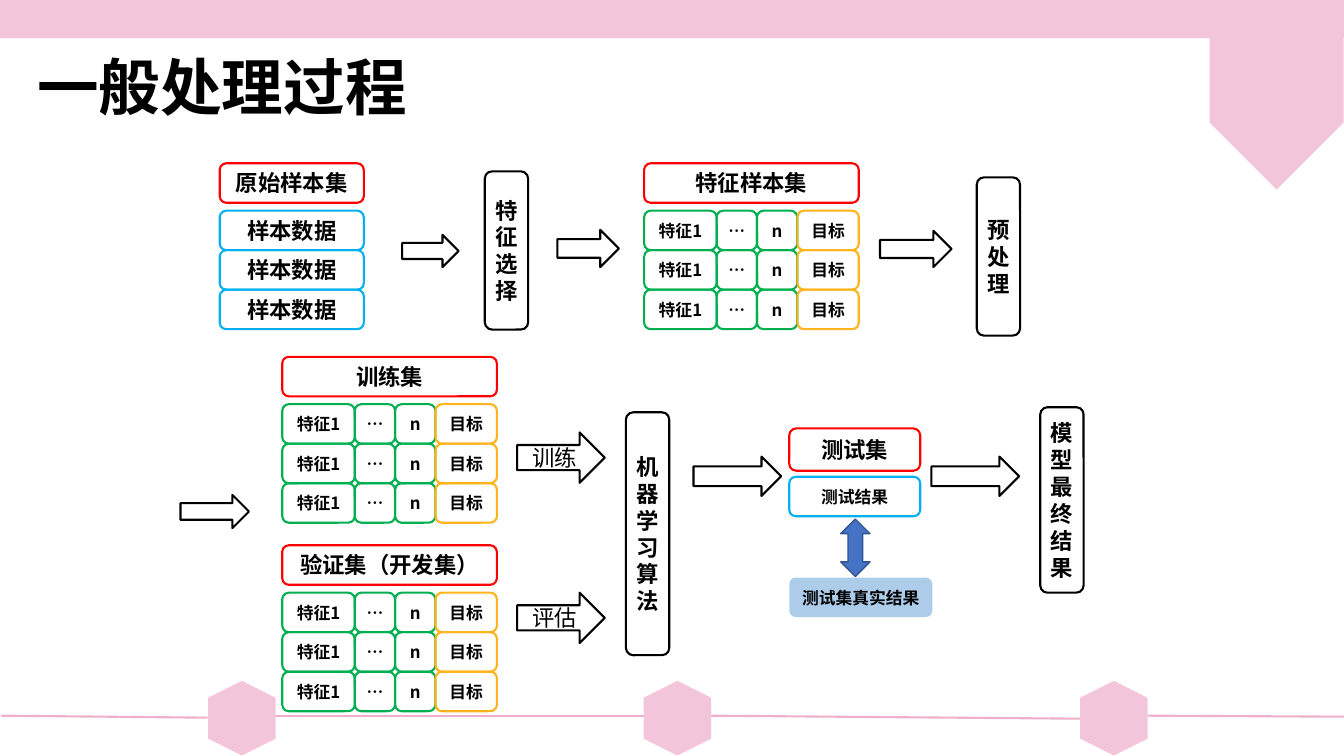
"""Draw the general machine learning workflow on one slide."""
from typing import NamedTuple, Optional

from lxml import etree
from pptx import Presentation
from pptx import util as u
from pptx.dml.color import RGBColor
from pptx.enum import shapes, text
from pptx.oxml.ns import qn

CELL = 0.1
COLS, ROWS = 133.33, 75
ROW = 3.92

BLACK = RGBColor(0x00, 0x00, 0x00)
RED = RGBColor(0xFF, 0x00, 0x00)
SKY = RGBColor(0x00, 0xB0, 0xF0)
GREEN = RGBColor(0x00, 0xB0, 0x50)
GOLD = RGBColor(0xFF, 0xB4, 0x1D)
PINK = RGBColor(0xF3, 0xC5, 0xDA)
ROSE = RGBColor(0xEF, 0xAF, 0xCC)
PALE = RGBColor(0x5B, 0x9B, 0xD5)
BLUE = RGBColor(0x44, 0x72, 0xC4)
NAVY = RGBColor(0x32, 0x54, 0x91)

SANS, PLAIN = "Noto Sans CJK SC", "Arial"
KIND = shapes.MSO_SHAPE
BOX, ARROW = KIND.ROUNDED_RECTANGLE, KIND.RIGHT_ARROW


class Part(NamedTuple):
    """One shape, measured in grid columns and rows."""
    kind: KIND
    x: float
    y: float
    w: float
    h: float
    line: Optional[RGBColor] = None
    fill: Optional[RGBColor] = None
    label: str = ""
    size: float = 16
    font: str = SANS
    turn: float = 0
    weight: float = 1.5


class Rule(NamedTuple):
    """One straight line, measured in grid columns and rows."""
    x: float
    y: float
    x2: float
    y2: float


class Field(NamedTuple):
    """One column of a sample table."""
    label: str
    w: float
    line: RGBColor


FIELDS = [Field("特征1", 7.2, GREEN), Field("…", 4, GREEN),
          Field("n", 4, GREEN), Field("目标", 6.1, GOLD)]

RULES = [Rule(27.3, 71, 63.9, 71), Rule(70.5, 71, 107.2, 71.3),
         Rule(0.1, 71, 20.6, 71.2), Rule(113.9, 71, COLS, 71.1)]

DECOR = [Part(KIND.HEXAGON, x, 67.9, 7.4, 6.7, fill=PINK, turn=270)
         for x in (20.3, 63.5, 106.8)] + [
    Part(KIND.RECTANGLE, 0, -0.2, COLS, 4, fill=PINK),
    Part(KIND.PENTAGON, 117.5, 3, 18.3, 13.3, fill=PINK, turn=90)]

STEPS = [
    Part(ARROW, 39.9, 23.3, 5.6, 3.2, BLACK),
    Part(BOX, 48.1, 17, 4.3, 15.7, BLACK, label="特征选择"),
    Part(ARROW, 55.3, 22.8, 6.1, 3.7, BLACK),
    Part(ARROW, 87.3, 22.9, 7.1, 3.6, BLACK),
    Part(BOX, 96.9, 17.6, 4.3, 15.7, BLACK, label="预处理"),
    Part(ARROW, 17.9, 49.1, 6.8, 3.3, BLACK),
    Part(ARROW, 51.3, 42.9, 8.7, 5, BLACK, label="训练", font=PLAIN),
    Part(ARROW, 51.3, 58.8, 8.7, 5, BLACK, label="评估", font=PLAIN),
    Part(BOX, 62.1, 40.9, 4.3, 24.1, BLACK, label="机器学习算法"),
    Part(ARROW, 68.8, 45.3, 8.7, 3.9, BLACK),
    Part(BOX, 78.3, 42.5, 13, 4.2, RED, label="测试集"),
    Part(BOX, 78.3, 47.3, 13, ROW, SKY, label="测试结果", size=12),
    Part(BOX, 78.3, 57.3, 14.2, ROW, fill=PALE, label="测试集真实结果", size=12),
    Part(KIND.UP_DOWN_ARROW, 83.4, 51.5, 2.9, 5.7, NAVY, BLUE, weight=1),
    Part(ARROW, 92.4, 45.3, 8.7, 3.9, BLACK),
    Part(BOX, 103.2, 40.4, 4.3, 18.4, BLACK, label="模型最终结果"),
]


def grid(*spans: float) -> list[int]:
    """Turn grid spans into slide lengths."""
    return [u.Inches(CELL * span) for span in spans]


def style(run, size: float, font: str) -> None:
    """Set a run's size and its Latin and East Asian fonts."""
    run.font.size = u.Pt(size)
    run.font.name = font
    run.font.bold = font == SANS
    run.font.color.rgb = BLACK
    east = etree.SubElement(run.font._element, qn("a:ea"))
    east.set("typeface", font)


def draw(slide, part: Part) -> None:
    """Draw one shape with its label."""
    shape = slide.shapes.add_shape(part.kind, *grid(*part[1:5]))
    shape.shadow.inherit = False
    shape.rotation = part.turn
    if part.fill is None:
        shape.fill.background()
    else:
        shape.fill.solid()
        shape.fill.fore_color.rgb = part.fill
    if part.fill == PALE:
        tint = shape.fill._xPr.find(".//" + qn("a:srgbClr"))
        etree.SubElement(tint, qn("a:alpha")).set("val", "50000")
    if part.line is None:
        shape.line.fill.background()
    else:
        shape.line.color.rgb = part.line
        shape.line.width = u.Pt(part.weight)
    if part.label:
        frame = shape.text_frame
        frame.text = part.label
        frame.word_wrap = True
        frame.margin_left = frame.margin_right = u.Inches(0.05)
        frame.vertical_anchor = text.MSO_ANCHOR.MIDDLE
        frame.paragraphs[0].alignment = text.PP_ALIGN.CENTER
        style(frame.paragraphs[0].runs[0], part.size, part.font)


def rule(slide, item: Rule) -> None:
    """Draw one footer line."""
    line = slide.shapes.add_connector(shapes.MSO_CONNECTOR.STRAIGHT, *grid(*item))
    line.line.color.rgb = ROSE
    line.line.width = u.Pt(1.5)
    etree.SubElement(line._element.spPr, qn("a:effectLst"))


def stack(slide, x: float, y: float, name: str, fields: list[Field]) -> None:
    """Draw a named set with three rows of samples."""
    size = 12 if len(fields) > 1 else 16
    draw(slide, Part(BOX, x, y, sum(f.w for f in fields), ROW, RED, label=name))
    for row in range(3):
        left = x
        for field in fields:
            draw(slide, Part(BOX, left, y + 4.7 + row * ROW, field.w, ROW,
                             field.line, label=field.label, size=size))
            left += field.w


def title(slide, label: str) -> None:
    """Write the slide's heading."""
    frame = slide.shapes.add_textbox(*grid(2.7, 1.7, 115, 14.5)).text_frame
    frame.text = label
    frame.word_wrap = True
    frame.vertical_anchor = text.MSO_ANCHOR.MIDDLE
    frame.paragraphs[0].line_spacing = 0.9
    style(frame.paragraphs[0].runs[0], 44, SANS)


def main() -> None:
    """Build and save the slide."""
    deck = Presentation()
    deck.slide_width, deck.slide_height = grid(COLS, ROWS)
    slide = deck.slides.add_slide(deck.slide_layouts[6])
    for item in RULES:
        rule(slide, item)
    for part in DECOR:
        draw(slide, part)
    title(slide, "一般处理过程")
    stack(slide, 21.8, 16.2, "原始样本集", [Field("样本数据", 14.3, SKY)])
    stack(slide, 63.9, 16.2, "特征样本集", FIELDS)
    stack(slide, 28, 35.4, "训练集", FIELDS)
    stack(slide, 28, 54.1, "验证集（开发集）", FIELDS)
    for part in STEPS:
        draw(slide, part)
    deck.save("out.pptx")


if __name__ == "__main__":
    main()
